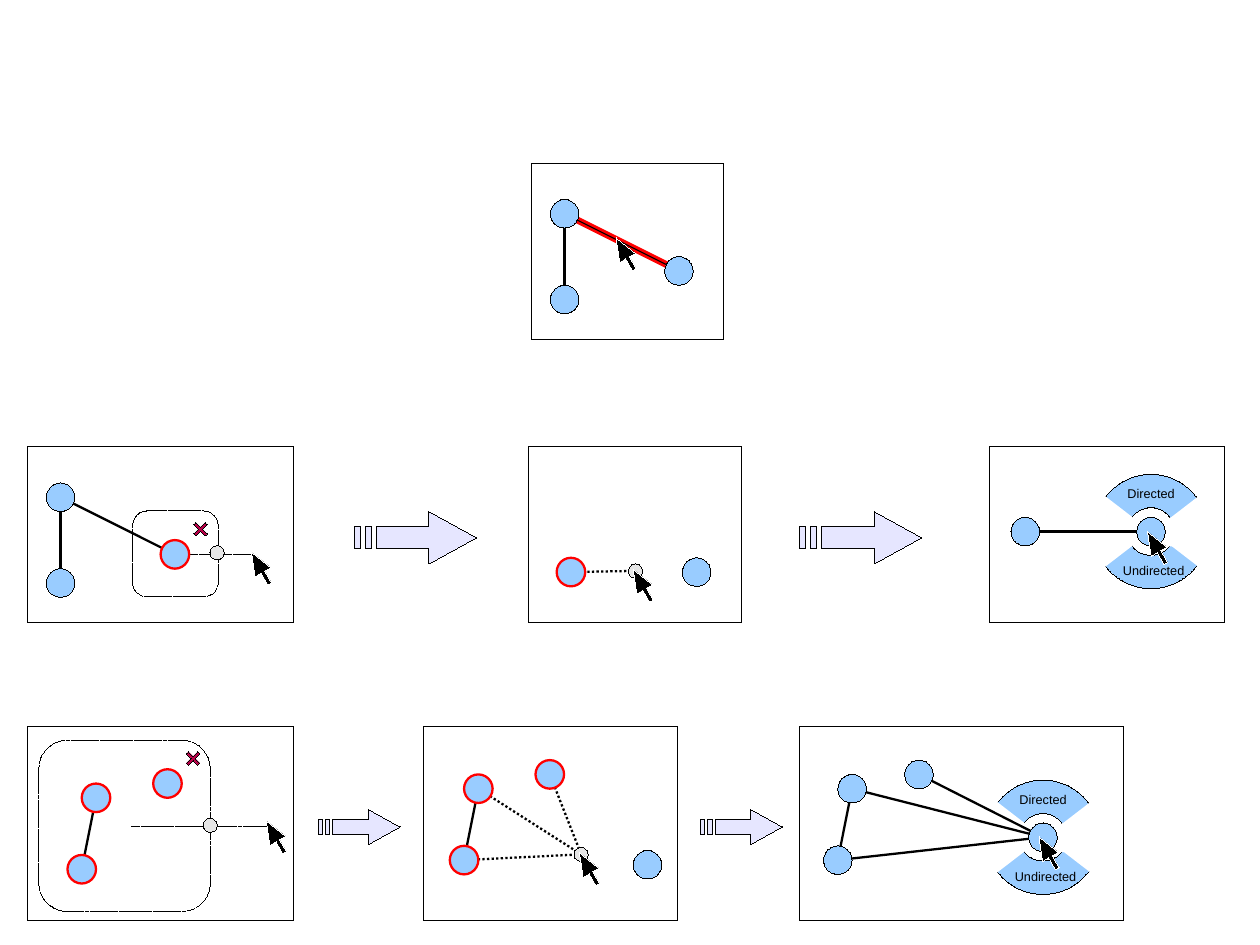
import dataclasses

import pptx
import pptx.dml.color
import pptx.enum.dml
import pptx.enum.shapes
import pptx.enum.text
import pptx.oxml
import pptx.util

SHAPE = pptx.enum.shapes.MSO_SHAPE
DASH = pptx.enum.dml.MSO_LINE
CELLS_PER_INCH = 10
SLIDE_WIDTH, SLIDE_HEIGHT = pptx.util.Cm(28), pptx.util.Cm(21)
NODE_SIZE, HANDLE_SIZE, CROSS_SIZE = 2.5, 1.25, 1.4


@dataclasses.dataclass(frozen=True)
class Theme:
    font: str = "Arial"
    label_size: float = 8
    black: str = "000000"
    white: str = "FFFFFF"
    node: str = "99CCFF"
    selected: str = "FF0000"
    handle: str = "E6E6E6"
    flow: str = "E6E6FF"
    cross: str = "B80047"
    hairline: float = 0.01
    thin: float = 0.71
    edge: float = 1.45
    highlight: float = 4.31


THEME = Theme()


def cells(*counts):
    return [pptx.util.Inches(count / CELLS_PER_INCH) for count in counts]


def color(code):
    return pptx.dml.color.RGBColor.from_string(code)


def paint(shape, fill=None, line=THEME.black, width=THEME.hairline, dash=None):
    shape.shadow.inherit = False
    if fill:
        shape.fill.solid()
        shape.fill.fore_color.rgb = color(fill)
    else:
        shape.fill.background()
    if line:
        stroke(shape, line, width, dash)
    else:
        shape.line.fill.background()


def stroke(shape, line, width, dash=None):
    shape.line.color.rgb = color(line)
    shape.line.width = pptx.util.Pt(width)
    if dash:
        shape.line.dash_style = dash


def add_figure(parent, kind, box, rotation=0, adjustments=(), **paint_options):
    shape = parent.shapes.add_shape(kind, *cells(*box))
    shape.rotation = rotation
    for index, value in enumerate(adjustments):
        shape.adjustments[index] = value
    paint(shape, **paint_options)


def add_centered(parent, kind, center, size, **options):
    x, y = center
    add_figure(parent, kind, (x - size / 2, y - size / 2, size, size), **options)


def add_text(parent, text, box, size=THEME.label_size, text_color=THEME.black):
    frame = parent.shapes.add_textbox(*cells(*box)).text_frame
    frame.word_wrap = True
    frame.auto_size = pptx.enum.text.MSO_AUTO_SIZE.SHAPE_TO_FIT_TEXT
    paragraph = frame.paragraphs[0]
    paragraph.text = text
    paragraph.font.name = THEME.font
    paragraph.font.size = pptx.util.Pt(size)
    paragraph.font.color.rgb = color(text_color)


def add_edge(slide, start, end, line=THEME.black, width=THEME.edge, dash=None):
    straight = pptx.enum.shapes.MSO_CONNECTOR.STRAIGHT
    connector = slide.shapes.add_connector(straight, *cells(*start, *end))
    stroke(connector, line, width, dash)
    properties = connector._element.spPr
    properties.append(pptx.oxml.parse_xml(
        '<a:effectLst xmlns:a="http://schemas.openxmlformats.org/drawingml/2006/main"/>'))


def add_panel(slide, *box):
    add_figure(slide, SHAPE.RECTANGLE, box)


def add_nodes(slide, *centers, selected=False):
    outline = dict(line=THEME.selected, width=THEME.edge) if selected else {}
    for center in centers:
        add_centered(slide, SHAPE.OVAL, center, NODE_SIZE, fill=THEME.node, **outline)


def add_handle(slide, center):
    add_centered(slide, SHAPE.OVAL, center, HANDLE_SIZE, fill=THEME.handle)


def add_selection(slide, box, cross):
    add_figure(slide, SHAPE.ROUNDED_RECTANGLE, box, adjustments=[0.167],
               dash=DASH.SQUARE_DOT)
    add_centered(slide, SHAPE.CROSS, cross, CROSS_SIZE, rotation=315,
                 adjustments=[0.41], fill=THEME.cross)


def add_cursor(slide, tip):
    x, y = tip
    add_figure(slide, SHAPE.LEFT_ARROW, (x - 0.8, y + 0.6, 3.2, 1.6), rotation=60,
               adjustments=[0.23, 1.26], fill=THEME.black, line=THEME.white)


def add_flow_arrow(slide, left, top, width, height):
    low, high = 0.29, 0.71
    head = [(0.61, 0), (1, 0.5), (0.61, 1), (0.61, high),
            (0.18, high), (0.18, low), (0.61, low)]
    stripes = [[(x, low), (x, high), (x + 0.05, high), (x + 0.05, low)]
               for x in (0, 0.09)]
    builder = None
    for contour in [head] + stripes:
        points = [cells(left + x * width, top + y * height) for x, y in contour]
        if builder is None:
            builder = slide.shapes.build_freeform(*points[0])
        else:
            builder.move_to(*points[0])
        builder.add_line_segments(points[1:], close=True)
    paint(builder.convert_to_shape(), fill=THEME.flow)


def add_direction_menu(slide, center):
    x, y = center
    group = slide.shapes.add_group_shape()
    add_centered(group, SHAPE.DONUT, center, 10, adjustments=[0.292], fill=THEME.node)
    add_text(group, "Directed", (x - 3.05, y - 4.45, 7.5, 2.4))
    add_text(group, "Undirected", (x - 3.45, y + 2.25, 7.5, 2.4))
    for kind, offset, top, width, height, rotation in (
            (SHAPE.RECTANGLE, -5.3, -1.2, 3.7, 2.5, 0),
            (SHAPE.RECTANGLE, 1.2, -1.2, 4.3, 2.5, 0),
            (SHAPE.ISOSCELES_TRIANGLE, -6.35, -2.5, 7.7, 5, 90),
            (SHAPE.ISOSCELES_TRIANGLE, -1.2, -2.5, 7.7, 5, 270)):
        add_figure(group, kind, (x + offset, y + top, width, height),
                   rotation=rotation, fill=THEME.white, line=None)


def draw_edge_hover(slide):
    corner, below, right = (49.4, 18.7), (49.4, 26.2), (59.4, 23.7)
    add_edge(slide, corner, right, line=THEME.selected, width=THEME.highlight)
    add_panel(slide, 46.5, 14.3, 16.8, 15.45)
    add_edge(slide, corner, below)
    add_edge(slide, corner, right, width=THEME.thin)
    add_nodes(slide, right, corner, below)
    add_cursor(slide, (53.9, 20.8))


def draw_single_node_steps(slide):
    corner, below, chosen = (5.3, 43.5), (5.3, 51), (15.3, 48.5)
    add_panel(slide, 2.4, 39.1, 23.3, 15.4)
    add_edge(slide, corner, below)
    add_edge(slide, corner, chosen)
    add_edge(slide, chosen, (22.3, 48.5), width=THEME.hairline, dash=DASH.SQUARE_DOT)
    add_selection(slide, (11.6, 44.7, 7.5, 7.5), (17.55, 46.3))
    add_nodes(slide, chosen, selected=True)
    add_handle(slide, (19, 48.35))
    add_nodes(slide, corner, below)
    add_cursor(slide, (22, 48.3))

    source, handle = (49.95, 50.05), (55.6, 49.95)
    add_panel(slide, 46.25, 39.1, 18.65, 15.4)
    add_edge(slide, handle, source, dash=DASH.ROUND_DOT)
    add_nodes(slide, source, selected=True)
    add_handle(slide, handle)
    add_nodes(slide, (60.95, 50.05))
    add_cursor(slide, (55.4, 49.8))

    source, target = (89.7, 46.5), (100.7, 46.5)
    add_panel(slide, 86.6, 39.1, 20.5, 15.4)
    add_direction_menu(slide, target)
    add_edge(slide, target, source)
    add_nodes(slide, source, target)
    add_cursor(slide, (100.4, 46.5))


def draw_multiple_node_steps(slide):
    upper, lower, single = (8.4, 69.8), (7.15, 76.05), (14.65, 68.55)
    add_panel(slide, 2.4, 63.55, 23.3, 16.95)
    add_edge(slide, upper, lower)
    add_edge(slide, (11.5, 72.3), (23.4, 72.3), width=THEME.hairline,
             dash=DASH.SQUARE_DOT)
    add_selection(slide, (3.4, 64.75, 15, 15), (16.9, 66.35))
    add_nodes(slide, upper, lower, single, selected=True)
    add_handle(slide, (18.4, 72.2))
    add_cursor(slide, (23.3, 71.8))

    upper, lower, single = (41.85, 69), (40.6, 75.25), (48.1, 67.75)
    handle = (50.85, 74.75)
    add_panel(slide, 37.05, 63.55, 22.25, 16.95)
    for source in (upper, lower, single):
        add_edge(slide, source, handle, dash=DASH.ROUND_DOT)
    add_edge(slide, upper, lower)
    add_handle(slide, handle)
    add_nodes(slide, (56.65, 75.65))
    add_cursor(slide, (50.7, 74.6))
    add_nodes(slide, upper, lower, single, selected=True)

    upper, lower, single = (74.55, 69), (73.3, 75.25), (80.4, 67.75)
    target = (91.25, 73.25)
    add_panel(slide, 69.95, 63.55, 28.35, 16.95)
    add_edge(slide, upper, lower)
    add_direction_menu(slide, target)
    for source in (upper, lower, single):
        add_edge(slide, source, target)
    add_nodes(slide, upper, lower, single, target)
    add_cursor(slide, (90.9, 73.2))


def main():
    presentation = pptx.Presentation()
    presentation.slide_width = SLIDE_WIDTH
    presentation.slide_height = SLIDE_HEIGHT
    slide = presentation.slides.add_slide(presentation.slide_layouts[6])
    draw_edge_hover(slide)
    draw_single_node_steps(slide)
    draw_multiple_node_steps(slide)
    for left in (31, 69.95):
        add_flow_arrow(slide, left, 44.75, 10.7, 4.6)
    for left in (27.85, 61.3):
        add_flow_arrow(slide, left, 70.8, 7.15, 3.1)
    presentation.save("out.pptx")


if __name__ == "__main__":
    main()
